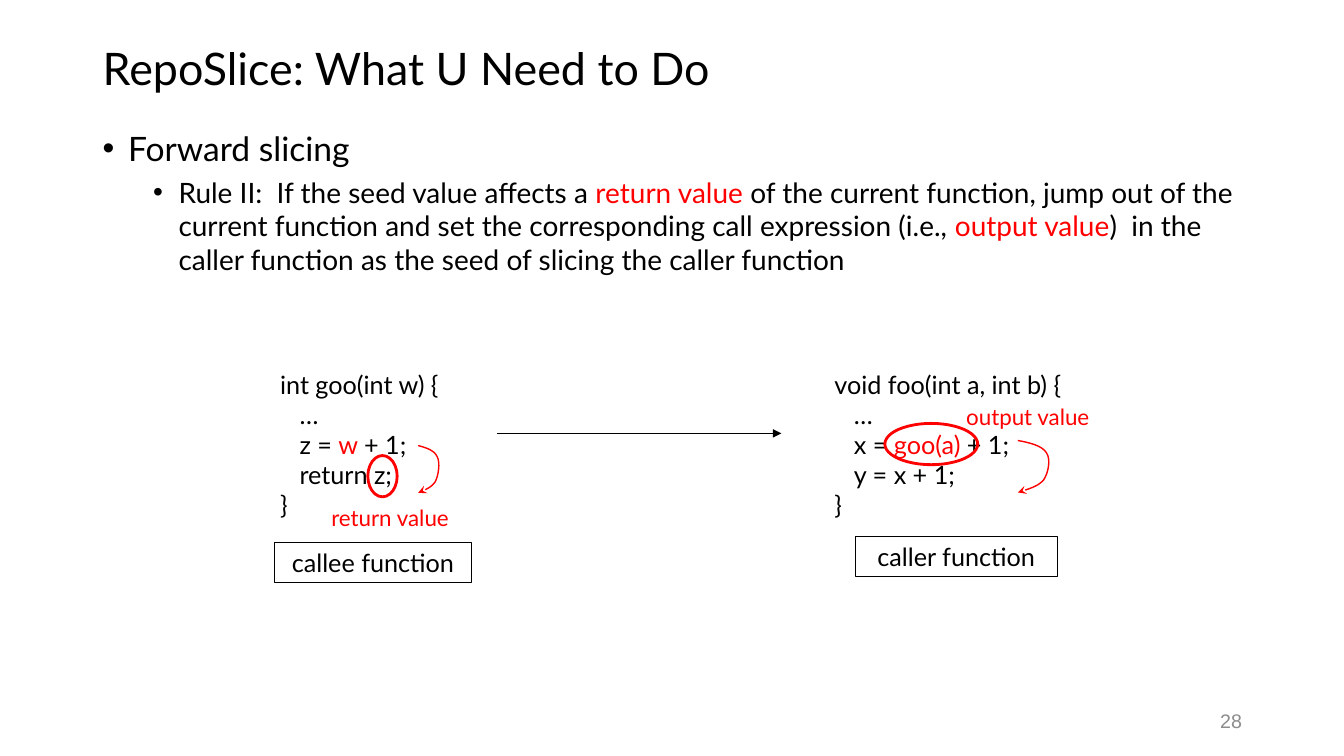
from lxml import etree
from pptx import Presentation
from pptx.dml.color import RGBColor
from pptx.enum.shapes import MSO_CONNECTOR, MSO_SHAPE
from pptx.enum.text import MSO_ANCHOR, PP_ALIGN
from pptx.oxml.ns import qn
from pptx.util import Cm, Pt

LEFT, CENTER, RIGHT = PP_ALIGN.LEFT, PP_ALIGN.CENTER, PP_ALIGN.RIGHT
TOP, MIDDLE = MSO_ANCHOR.TOP, MSO_ANCHOR.MIDDLE
OVAL, RECT = MSO_SHAPE.OVAL, MSO_SHAPE.RECTANGLE
STRAIGHT = MSO_CONNECTOR.STRAIGHT

COLORS = {"black": "000000", "red": "FF0000", "gray": "8C8C8C"}

deck = Presentation()
deck.slide_width, deck.slide_height = Cm(33.87), Cm(19.05)
slide = deck.slides.add_slide(deck.slide_layouts[6])
shapes = slide.shapes


def write(shape, lines, size, align=LEFT, anchor=TOP, font="Lato"):
    frame = shape.text_frame
    frame.word_wrap = True
    frame.vertical_anchor = anchor
    for i, runs in enumerate(lines):
        para = frame.paragraphs[0] if i == 0 else frame.add_paragraph()
        para.alignment = align
        for text, color in runs:
            run = para.add_run()
            run.text = text
            run.font.size = Pt(size)
            run.font.name = font
            run.font.color.rgb = RGBColor.from_string(COLORS[color])
    return frame.paragraphs


def stroke(shape, color, width, tip=None):
    shape.line.color.rgb = RGBColor.from_string(COLORS[color])
    shape.line.width = Pt(width)
    if tip:
        etree.SubElement(shape.line._get_or_add_ln(), qn("a:tailEnd"), type=tip)


title = shapes.add_textbox(Cm(2.34), Cm(1.02), Cm(29.21), Cm(1.55))
paras = write(title, [[("RepoSlice: What U Need to Do", "black")]], 32, anchor=MIDDLE)
paras[0].line_spacing = 0.9

body = shapes.add_textbox(Cm(2.34), Cm(3.1), Cm(29.21), Cm(14.05))
paras = write(body, [
    [("Forward slicing", "black")],
    [("Rule II:  If the seed value affects a ", "black"),
     ("return value ", "red"),
     ("of the current function, jump out of the current function and set "
      "the corresponding call expression (i.e., ", "black"),
     ("output value", "red"),
     (")  in the caller function as the seed of slicing the caller function", "black")],
], 20)
paras[0].runs[0].font.size = Pt(24)
for level, (para, indent, gap) in enumerate(zip(paras, (0.64, 1.91), (10, 5))):
    para.level = level
    para.space_before = Pt(gap)
    props = para._p.get_or_add_pPr()
    props.set("marL", str(Cm(indent)))
    props.set("indent", str(Cm(-0.64)))
    etree.SubElement(props, qn("a:buFont"), typeface="Arial")
    etree.SubElement(props, qn("a:buChar"), char="•")

page = shapes.add_textbox(Cm(23.93), Cm(17.65), Cm(7.62), Cm(1.02))
write(page, [[("28", "gray")]], 14, RIGHT, MIDDLE, "Arial")

callee = [
    [("int goo(int w) {", "black")],
    [("…", "black")],
    [("z = ", "black"), ("w ", "red"), ("+ 1;", "black")],
    [("return z;", "black")],
    [("}", "black")],
]
caller = [
    [("void foo(int a, int b) {", "black")],
    [("…", "black")],
    [("x = ", "black"), ("goo(a) ", "red"), ("+ 1;", "black")],
    [("y = x + 1;", "black")],
    [("}", "black")],
]
for left, code in ((6.81, callee), (20.78, caller)):
    box = shapes.add_textbox(Cm(left), Cm(9.17), Cm(7.44), Cm(4.11))
    for para in write(box, code, 18)[1:-1]:
        para._p.get_or_add_pPr().set("marL", str(Cm(0.49)))

jump = shapes.add_connector(STRAIGHT, Cm(12.52), Cm(10.92), Cm(19.69), Cm(10.92))
stroke(jump, "black", 0.5, "triangle")
etree.SubElement(jump._element.spPr, qn("a:effectLst"))

for text, left, top in (("return value", 8.1, 12.57), ("output value", 24.1, 10.03)):
    label = shapes.add_textbox(Cm(left), Cm(top), Cm(3.84), Cm(0.94))
    write(label, [[(text, "red")]], 16)

for left, top, width in ((9.27, 11.48, 0.74), (22.3, 10.67, 2.34)):
    ring = shapes.add_shape(OVAL, Cm(left), Cm(top), Cm(width), Cm(1.04))
    ring.shadow.inherit = False
    ring.fill.background()
    stroke(ring, "red", 2)

bend = [(0, 0), (0.2, 0.05), (0.41, 0.12), (0.48, 0.28), (0.56, 0.43),
        (0.51, 0.76), (0.43, 0.91), (0.33, 1.06), (0.18, 1.11), (0, 1.19)]
steps = 8
curve = []
for k in range(0, 9, 3):
    for n in range(1, steps + 1):
        t = n / steps
        parts = ((1 - t) ** 3, 3 * t * (1 - t) ** 2, 3 * t * t * (1 - t), t ** 3)
        curve.append([sum(w * p[axis] for w, p in zip(parts, bend[k:k + 4]))
                      for axis in (0, 1)])

for left, top, wide, tall in ((10.54, 11.23, 1, 1), (25.65, 11.1, 1.5, 1.1)):
    path = shapes.build_freeform(Cm(left), Cm(top))
    path.add_line_segments(
        [(Cm(left + x * wide), Cm(top + y * tall)) for x, y in curve], close=False)
    flow = path.convert_to_shape()
    flow.shadow.inherit = False
    flow.fill.background()
    stroke(flow, "red", 1, "stealth")

for text, left, top, width in (("callee function", 6.91, 13.67, 4.98),
                               ("caller function", 21.56, 13.51, 5.08)):
    tag = shapes.add_shape(RECT, Cm(left), Cm(top), Cm(width), Cm(1.02))
    tag.shadow.inherit = False
    tag.fill.background()
    stroke(tag, "black", 0.75)
    write(tag, [[(text, "black")]], 18, CENTER)

deck.save("out.pptx")
